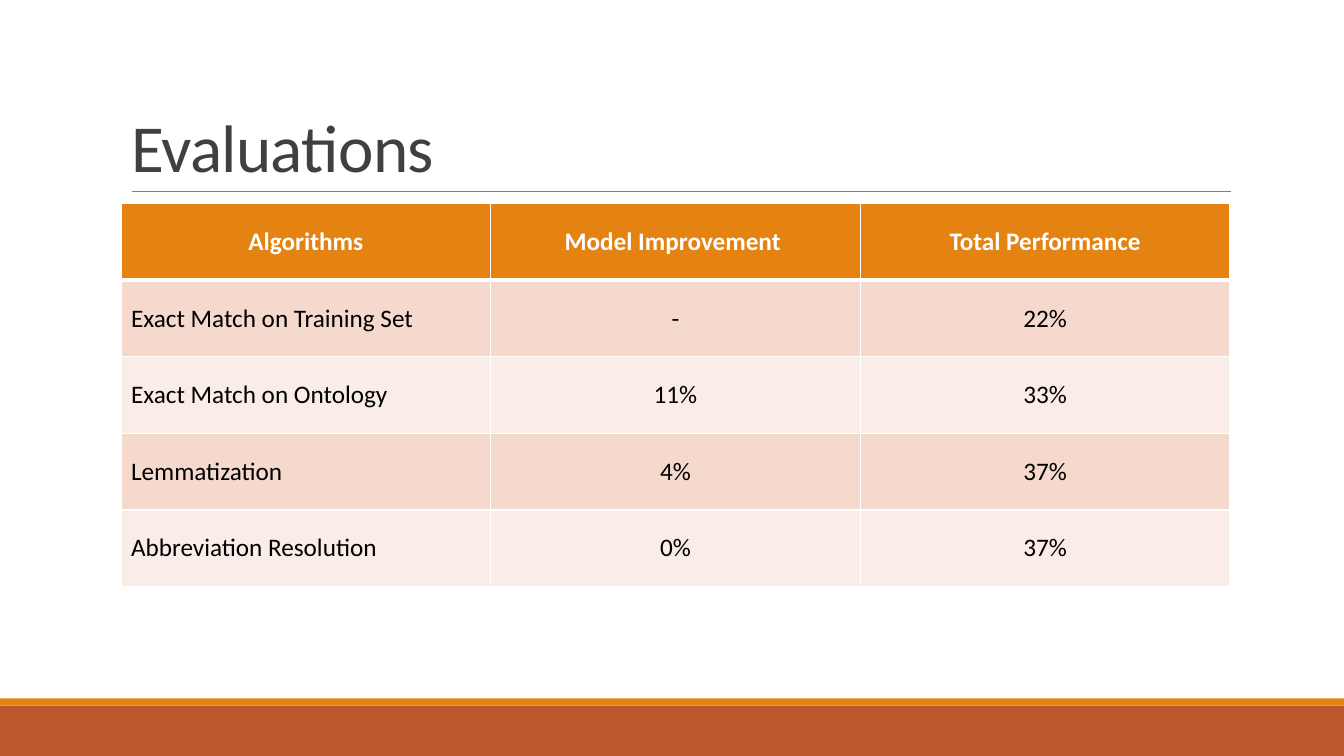
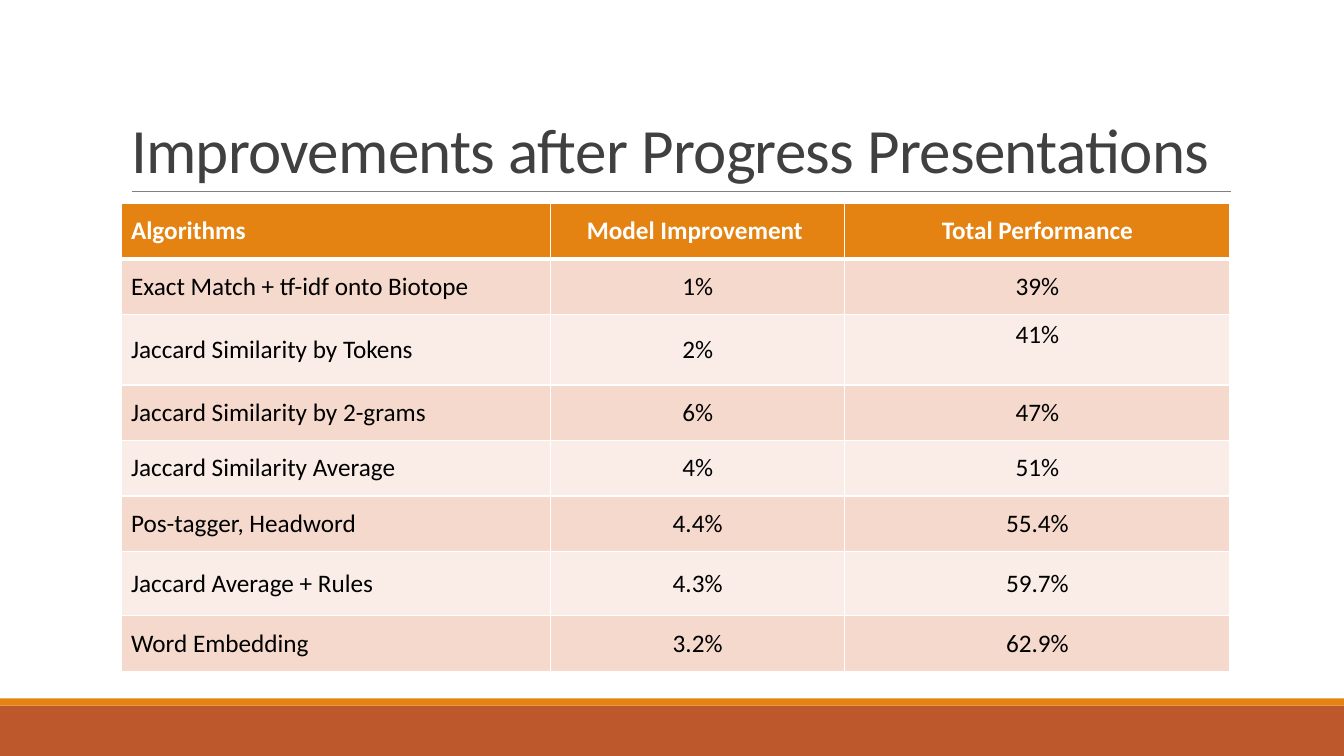
from lxml.etree import SubElement
from pptx import Presentation
from pptx.dml.color import RGBColor
from pptx.enum.shapes import MSO_CONNECTOR, MSO_SHAPE
from pptx.enum.text import MSO_ANCHOR, MSO_AUTO_SIZE, PP_ALIGN
from pptx.oxml import parse_xml
from pptx.oxml.ns import nsdecls, qn
from pptx.util import Inches, Pt

COLORS = {
    "rust": "BD582C",
    "orange": "E48312",
    "rule": "808080",
    "title": "404040",
    "text": "000000",
    "white": "FFFFFF",
    "band_dark": "F5D9CC",
    "band_light": "FAEDE7",
}
LEFT, WIDTH = 1.2, 11
HEADER = ("Algorithms", "Model Improvement ", "Total Performance")

SLIDES = [
    {
        "title": "Evaluations",
        "size": 48,
        "first_header": PP_ALIGN.CENTER,
        "cols": [WIDTH / 3] * 3,
        "heights": [0.76] * 5,
        "top_cells": [],
        "rows": [
            HEADER,
            ("Exact Match on Training Set", "-", "22%"),
            ("Exact Match on Ontology", "11%", "33%"),
            ("Lemmatization", "4%", "37%"),
            ("Abbreviation Resolution", "0%", "37%"),
        ],
    },
    {
        "title": "Improvements after Progress Presentations",
        "size": 45,
        "first_header": PP_ALIGN.LEFT,
        "cols": [4.26, 2.92, 3.82],
        "heights": [0.55, 0.55, 0.7, 0.55, 0.55, 0.55, 0.64, 0.55],
        "top_cells": [(2, 2)],
        "rows": [
            HEADER,
            ("Exact Match + tf-idf onto Biotope", "1%", "39%"),
            ("Jaccard Similarity by Tokens", "2%", "41%"),
            ("Jaccard Similarity by 2-grams", "6%", "47%"),
            ("Jaccard Similarity Average", "4%", "51%"),
            ("Pos-tagger, Headword", "4.4%", "55.4%"),
            ("Jaccard Average + Rules", "4.3%", "59.7%"),
            ("Word Embedding", "3.2%", "62.9%"),
        ],
    },
]


def write(tf, text, color, align, **font):
    p = tf.paragraphs[0]
    p.alignment = align
    r = p.add_run()
    r.text = text
    r.font.color.rgb = RGBColor.from_string(COLORS[color])
    for name, value in {"name": "Calibri", **font}.items():
        setattr(r.font, name, value)
    return p, r


def set_borders(cell, widths):
    tc_pr = cell._tc.get_or_add_tcPr()
    for i, (side, width) in enumerate(widths.items()):
        tc_pr.insert(i, parse_xml(
            f'<a:{side} {nsdecls("a")} w="{Pt(width)}"><a:solidFill>'
            f'<a:srgbClr val="{COLORS["white"]}"/></a:solidFill></a:{side}>'))


prs = Presentation()
prs.slide_width, prs.slide_height = Inches(13.33), Inches(7.5)
layout = prs.slide_layouts[5]

title = layout.placeholders[0]
box = {"left": LEFT, "top": 0.31, "width": WIDTH, "height": 1.59}
for name, value in box.items():
    setattr(title, name, Inches(value))
frame = {"vertical_anchor": MSO_ANCHOR.BOTTOM, "word_wrap": True,
         "auto_size": MSO_AUTO_SIZE.NONE}
for name, value in frame.items():
    setattr(title.text_frame, name, value)

slides = [prs.slides.add_slide(layout) for _ in SLIDES]

shapes = slides[0].shapes
decor = []
for top, height, color in [(7, 0.5, "rust"), (6.93, 0.07, "orange")]:
    sp = shapes.add_shape(MSO_SHAPE.RECTANGLE, 0, Inches(top),
                          prs.slide_width, Inches(height))
    sp.shadow.inherit = False
    sp.fill.solid()
    sp.fill.fore_color.rgb = RGBColor.from_string(COLORS[color])
    sp.line.fill.background()
    decor.append(sp)
rule = shapes.add_connector(MSO_CONNECTOR.STRAIGHT, Inches(1.31), Inches(1.9),
                            Inches(12.21), Inches(1.9))
rule.line.color.rgb = RGBColor.from_string(COLORS["rule"])
rule.line.width = Pt(0.5)
SubElement(rule.element.spPr, qn("a:effectLst"))
decor.append(rule)
for sp in decor:
    layout.shapes.element.append(sp.element)

for slide, data in zip(slides, SLIDES):
    p, r = write(slide.shapes.title.text_frame, data["title"], "title",
                 PP_ALIGN.LEFT, size=Pt(data["size"]))
    p.line_spacing = 0.85
    r.font._element.set("spc", "-50")

    rows, cols, heights = data["rows"], data["cols"], data["heights"]
    table = slide.shapes.add_table(
        len(rows), len(cols), Inches(LEFT), Inches(2.02),
        Inches(WIDTH), Inches(sum(heights))).table
    for col, width in zip(table.columns, cols):
        col.width = Inches(width)
    for i, (row, height) in enumerate(zip(table.rows, heights)):
        row.height = Inches(height)
        header = i == 0
        fill = "orange" if header else ("band_light", "band_dark")[i % 2]
        borders = {"lnL": 1, "lnR": 1, "lnT": 3 if i == 1 else 1,
                   "lnB": 3 if header else 1}
        for j, cell in enumerate(row.cells):
            align = PP_ALIGN.CENTER
            if j == 0:
                align = data["first_header"] if header else PP_ALIGN.LEFT
            write(cell.text_frame, rows[i][j], "white" if header else "text",
                  align, size=Pt(18), bold=header)
            top = (i, j) in data["top_cells"]
            cell.vertical_anchor = MSO_ANCHOR.TOP if top else MSO_ANCHOR.MIDDLE
            cell.fill.solid()
            cell.fill.fore_color.rgb = RGBColor.from_string(COLORS[fill])
            set_borders(cell, borders)

prs.save("out.pptx")
